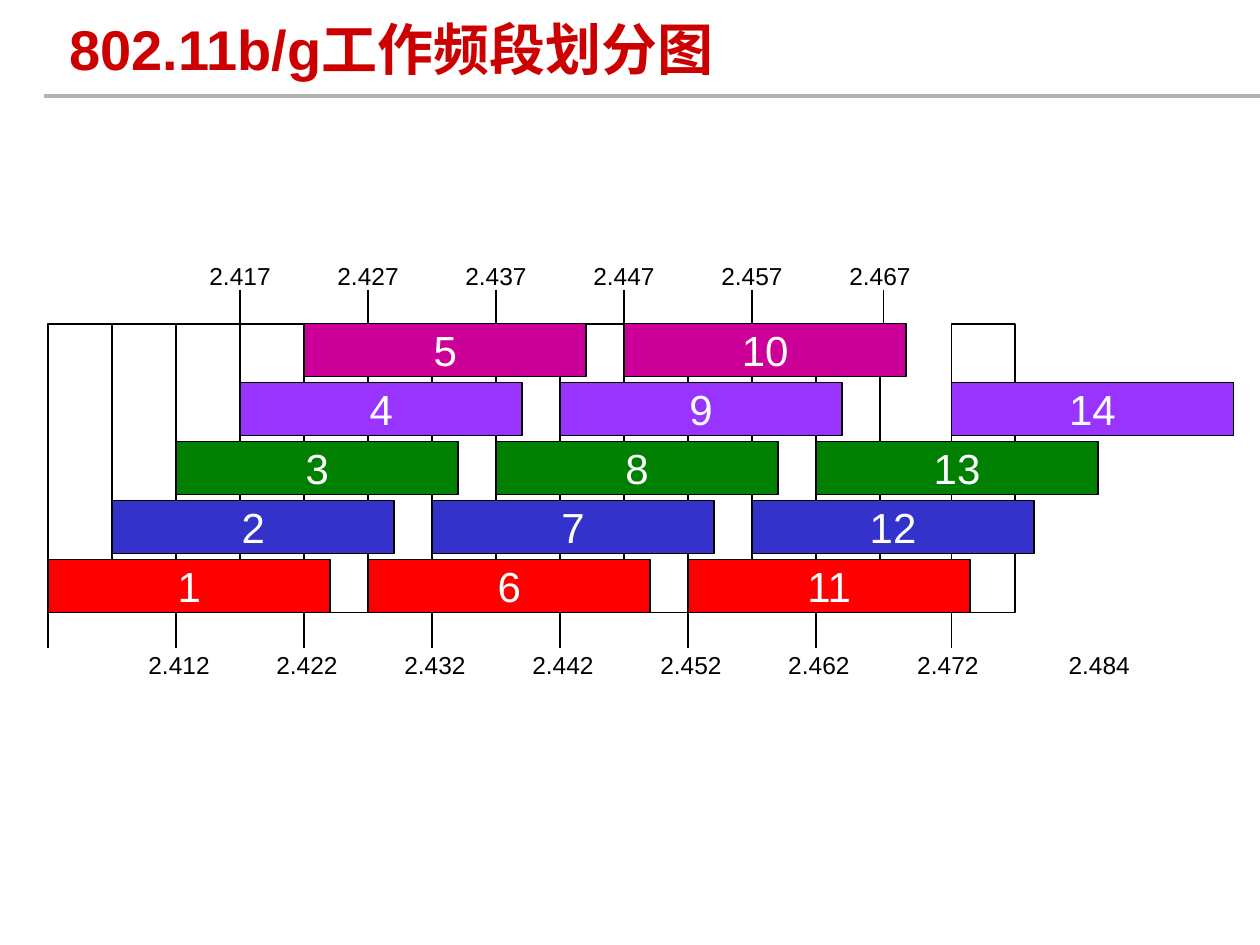
from lxml import etree
from pptx import Presentation
from pptx import util as u
from pptx.dml.color import RGBColor
from pptx.enum import shapes, text
from pptx.oxml.ns import qn


def paint(color, value):
    color.rgb = RGBColor.from_string(value)


def write(shape, words, size, value, align=text.PP_ALIGN.CENTER, bold=False):
    frame = shape.text_frame
    frame.word_wrap = False
    frame.vertical_anchor = text.MSO_ANCHOR.MIDDLE
    para = frame.paragraphs[0]
    para.text = words
    para.alignment = align
    para.font.name = "Arial"
    para.font.size = u.Pt(size)
    para.font.bold = bold
    paint(para.font.color, value)


prs = Presentation()
prs.slide_width, prs.slide_height = u.Cm(25.4), u.Cm(19.05)
slide = prs.slides.add_slide(prs.slide_layouts[6])
items = slide.shapes

# Channel grid: one step is 5 MHz, channel 14 stands apart
left, step, last = 0.97, 1.29, 19.18
grid = [left + step * i for i in range(14)]
top, high = 6.53, 5.82

# Title
title = items.add_textbox(u.Cm(1.27), u.Cm(0.13), u.Cm(20.12), u.Cm(1.7))
title.text_frame.margin_left = title.text_frame.margin_right = u.Cm(0.13)
write(title, "802.11b/g工作频段划分图", 32, "CC0000", text.PP_ALIGN.LEFT, True)

# Grid cells
boxes = [(x, top, step, high, "FFFFFF", "") for x in grid[:13] + [last]]

# Channel bars, in rows of five colours from the bottom up
hues = ["FF0000", "3333CC", "008000", "9933FF", "CC0099"]
bars = []
for i, x in enumerate(grid[:13] + [last]):
    row = i % 5
    bars.append((x, 11.28 - 1.19 * row, 5.69, 1.07, hues[row], str(i + 1)))

# Title rule and frequency ticks
rules = [(0.89, 1.93, 25.4, 1.93, "B2B2B2", 2.25)]
for x in grid[3:13:2] + [17.81]:
    rules.append((x, 5.84, x, 7.01, "000000", 1))
for x in grid[0:13:2] + [last]:
    rules.append((x, 11.89, x, 13.06, "000000", 1))

# Draw cells, then lines, then bars on top
for group in (boxes, rules, bars):
    for a, b, c, d, hue, extra in group:
        spots = [u.Cm(v) for v in (a, b, c, d)]
        if group is rules:
            rule = items.add_connector(shapes.MSO_CONNECTOR.STRAIGHT, *spots)
            rule.line.width = u.Pt(extra)
            paint(rule.line.color, hue)
            etree.SubElement(rule._element.spPr, qn("a:effectLst"))
            continue
        box = items.add_shape(shapes.MSO_SHAPE.RECTANGLE, *spots)
        box.shadow.inherit = False
        box.fill.solid()
        paint(box.fill.fore_color, hue)
        paint(box.line.color, "000000")
        box.line.width = u.Pt(1)
        if extra:
            write(box, extra, 24, "FFFFFF")

# Frequency labels in GHz, centred on their ticks
marks = [(x, 5.13, 2417 + 10 * i) for i, x in enumerate(grid[3:14:2])]
marks += [(x + 0.06, 12.98, 2412 + 10 * i) for i, x in enumerate(grid[2:13:2])]
marks += [(19.11, 12.98, 2472), (22.16, 12.98, 2484)]
for x, y, freq in marks:
    label = items.add_textbox(u.Cm(x - 0.88), u.Cm(y), u.Cm(1.76), u.Cm(0.86))
    write(label, f"{freq / 1000:.3f}", 14, "000000")

prs.save("out.pptx")
